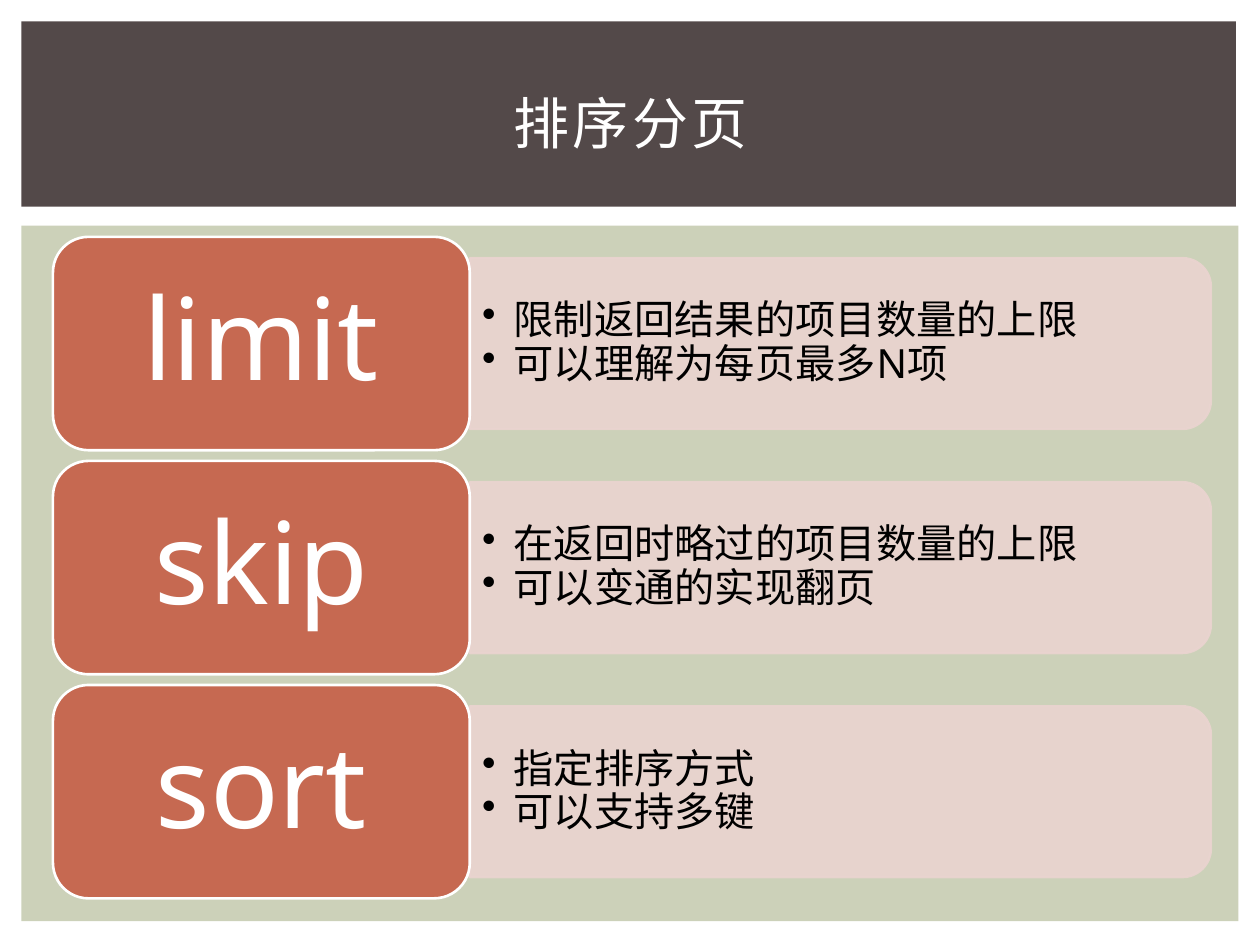
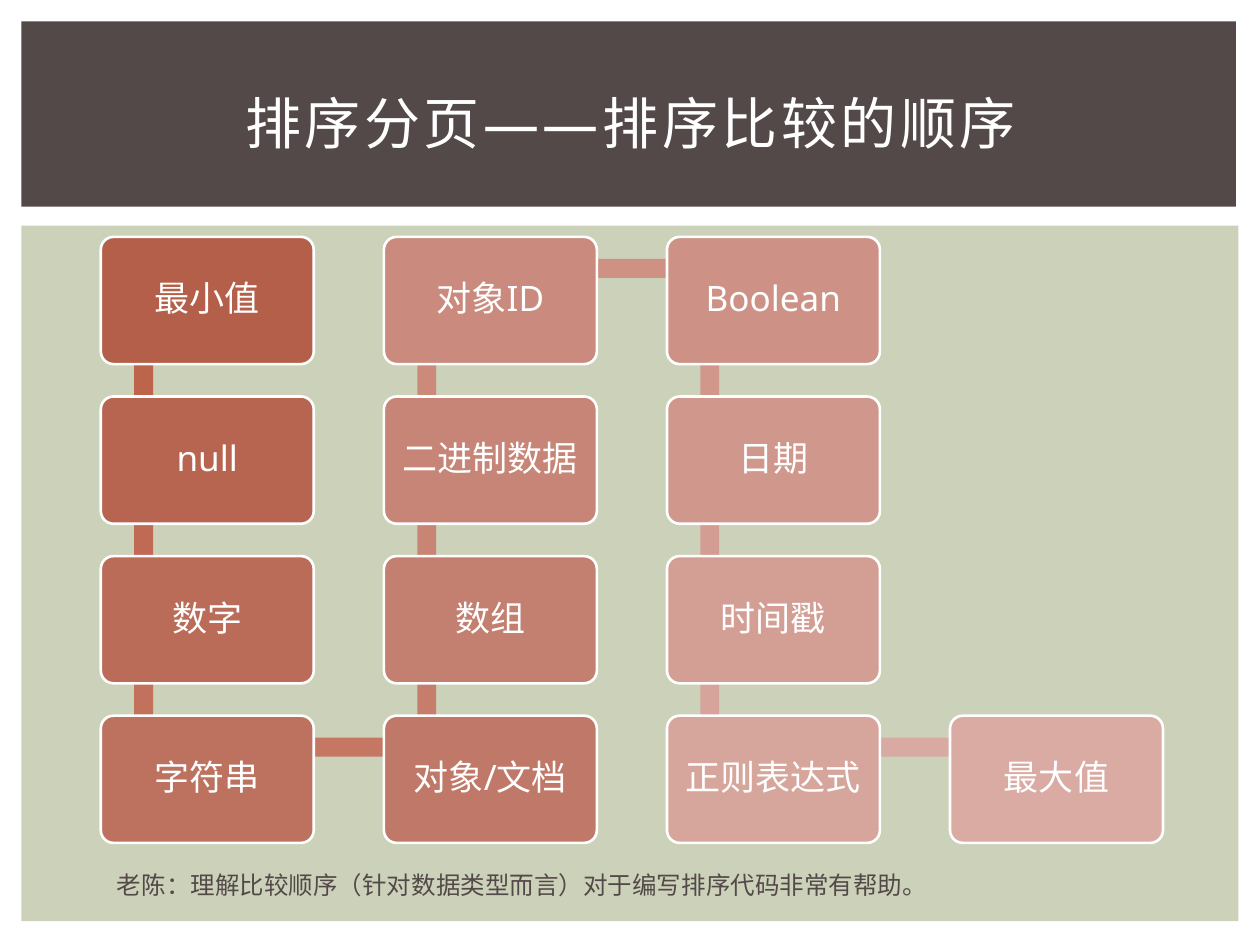
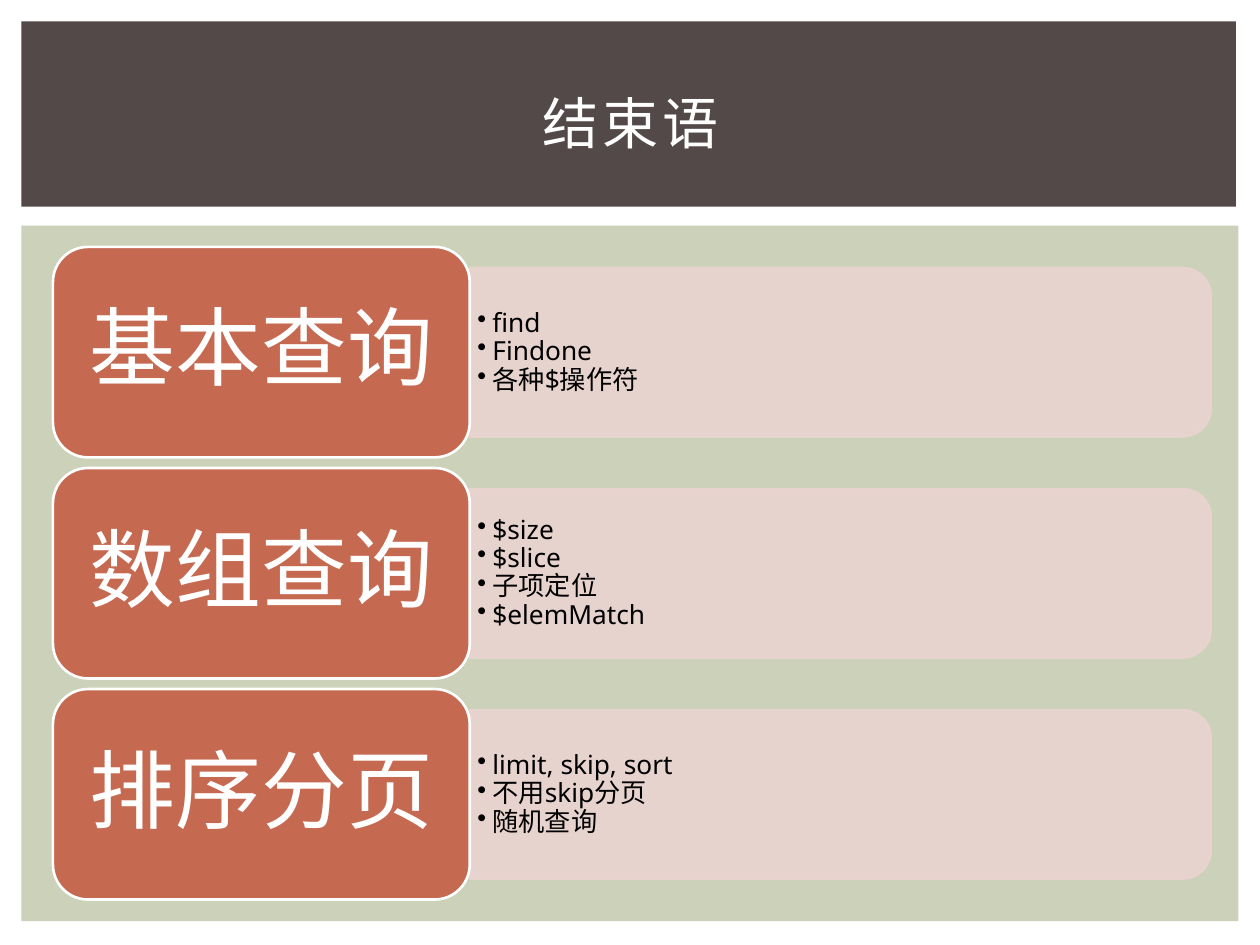
from pptx import Presentation
from pptx.dml.color import RGBColor
from pptx.enum.lang import MSO_LANGUAGE_ID as LANG
from pptx.enum.shapes import MSO_SHAPE as SHAPE
from pptx.enum.text import MSO_ANCHOR as ANCHOR, PP_ALIGN as ALIGN
from pptx.oxml.xmlchemy import OxmlElement
from pptx.util import Inches, Pt

FONT = "Noto Sans"
COLORS = {
    "white": "FFFFFF",
    "black": "000000",
    "title_band": "534949",
    "body_band": "CCD1B9",
    "label": "C66951",
    "panel": "EAD4D0",
    "node_first": "B45F4A",
    "node_last": "D9ABA3",
    "link_first": "BD644D",
    "link_last": "D9AAA2",
}


def rgb(name):
    return RGBColor.from_string(COLORS.get(name, name))


def blend(first, last, share):
    """Hex colour that lies the given share of the way from first to last."""
    pairs = zip(rgb(first), rgb(last))
    return "".join(f"{round(a + (b - a) * share):02X}" for a, b in pairs)


def set_alpha(fill_parent, percent):
    for color in fill_parent.iter("{*}srgbClr"):
        alpha = OxmlElement("a:alpha")
        alpha.set("val", str(percent * 1000))
        color.append(alpha)


def add_bullet(p, indent):
    pPr = p._p.get_or_add_pPr()
    pPr.set("marL", str(Inches(indent)))
    pPr.set("indent", str(-Inches(indent)))
    bullet = OxmlElement("a:buChar")
    bullet.set("char", "•")
    pPr.append(bullet)


def write(shape, text, size=20, color="white", align=ALIGN.LEFT, anchor=ANCHOR.MIDDLE,
          inset=(0.1, 0.05), line=None, bullet=None, tracking=None, wrap=True):
    """Fill a shape with formatted text, one paragraph per line."""
    tf = shape.text_frame
    tf.word_wrap, tf.vertical_anchor = wrap, anchor
    tf.margin_left = tf.margin_right = Inches(inset[0])
    tf.margin_top = tf.margin_bottom = Inches(inset[1])
    for i, words in enumerate(text.split("\n")):
        p = tf.add_paragraph() if i else tf.paragraphs[0]
        p.alignment, p.line_spacing = align, line
        if bullet:
            add_bullet(p, bullet)
        r = p.add_run()
        r.text = words
        r.font.size, r.font.name = Pt(size), FONT
        r.font.color.rgb = rgb(color)
        r.font.language_id = LANG.SIMPLIFIED_CHINESE
        rPr = r.font._element
        if tracking:
            rPr.set("spc", str(tracking * 100))
        east_asian = OxmlElement("a:ea")
        east_asian.set("typeface", FONT)
        rPr.append(east_asian)


def add_box(slide, kind, x, y, w, h, fill, line=None):
    sp = slide.shapes.add_shape(kind, Inches(x), Inches(y), Inches(w), Inches(h))
    sp.shadow.inherit = False
    sp.fill.solid()
    sp.fill.fore_color.rgb = rgb(fill)
    if line:
        sp.line.color.rgb = rgb(line)
        sp.line.width = Pt(1.5)
    else:
        sp.line.fill.background()
    return sp


def set_up_layout(layout, slide):
    """Give the layout its two bands and its title position."""
    bands = [add_box(slide, SHAPE.RECTANGLE, 0.17, 1.79, 9.66, 5.52, "body_band"),
             add_box(slide, SHAPE.RECTANGLE, 0.17, 0.17, 9.64, 1.47, "title_band")]
    for position, band in enumerate(bands, start=2):
        layout.shapes.element.insert(position, band._element)
    title = layout.placeholders[0]
    title.left, title.top = Inches(0.42), Inches(0.39)
    title.width, title.height = Inches(9.17), Inches(1.15)


def add_title(slide, text):
    write(slide.shapes.title, text, size=32, align=ALIGN.CENTER, tracking=2)


def add_topic_row(slide, box, label, points, label_size, point_size, label_inset,
                  point_inset, indent):
    """A label on the left, with a panel of bullet points beside it."""
    x, y, w, h = box
    label_w, panel_h = 0.36 * w, 0.8 * h
    panel_w = w - label_w
    panel_x, middle = x + label_w, y + h / 2

    # Panel, turned so that its round corners face right
    panel = add_box(slide, SHAPE.ROUND_2_SAME_RECTANGLE,
                    panel_x + (panel_w - panel_h) / 2, middle - panel_w / 2,
                    panel_h, panel_w, "panel", "panel")
    panel.rotation = 90
    set_alpha(panel._element.spPr, 90)

    # Bullet points
    text_h = 0.9 * panel_h
    tb = slide.shapes.add_textbox(Inches(panel_x), Inches(middle - text_h / 2),
                                  Inches(panel_w - 0.06), Inches(text_h))
    write(tb, points, size=point_size, color="black", inset=point_inset,
          line=0.9, bullet=indent)

    # Label
    sp = add_box(slide, SHAPE.ROUNDED_RECTANGLE, x, y, label_w, h, "label", "white")
    write(sp, label, size=label_size, align=ALIGN.CENTER, inset=label_inset, line=0.9)


def add_topics(slide, box, topics, **style):
    x, y, w, h = box
    gap_share = 0.05
    row_h = h / (len(topics) + gap_share * (len(topics) - 1))
    for i, (label, points) in enumerate(topics):
        row_y = y + i * row_h * (1 + gap_share)
        add_topic_row(slide, (x, row_y, w, row_h), label, points, **style)


def add_snake(slide, box, names, rows=4, cols=4):
    """Nodes that run down one column and up the next, joined by links."""
    x, y, w, h = box
    node_w, node_h = 1.69, 1.01
    step_x = (w - node_w) / (cols - 1)
    step_y = (h - node_h) / (rows - 1)
    corners = []
    for i in range(len(names)):
        col, row = divmod(i, rows)
        if col % 2:
            row = rows - 1 - row
        corners.append((x + col * step_x, y + row * step_y))

    # Links
    thick, anchor_x, anchor_y = 0.15, 0.34, 0.25
    link_count = len(names) - 1
    for i, ((x1, y1), (x2, y2)) in enumerate(zip(corners, corners[1:])):
        across, down = abs(x2 - x1), abs(y2 - y1)
        add_box(slide, SHAPE.RECTANGLE,
                min(x1, x2) + anchor_x - (0 if across else thick / 2),
                min(y1, y2) + anchor_y - (0 if down else thick / 2),
                across or thick, down or thick,
                blend("link_first", "link_last", i / (link_count - 1)))

    # Nodes
    for i, (name, (left, top)) in enumerate(zip(names, corners)):
        fill = blend("node_first", "node_last", i / link_count)
        node = add_box(slide, SHAPE.ROUNDED_RECTANGLE, left, top, node_w, node_h,
                       fill, "white")
        node.adjustments[0] = 0.1
        write(node, name, align=ALIGN.CENTER, inset=(0.08, 0.08), line=0.9)


def add_remark(slide, box, text):
    tb = slide.shapes.add_textbox(*map(Inches, box))
    write(tb, text, size=14, color="title_band", anchor=ANCHOR.TOP, wrap=False)


def main():
    prs = Presentation()
    prs.slide_width, prs.slide_height = Inches(10), Inches(7.5)
    layout = prs.slide_layouts[5]
    paging, order, closing = [prs.slides.add_slide(layout) for _ in range(3)]
    set_up_layout(layout, paging)

    # Sorting and paging
    add_title(paging, "排序分页")
    add_topics(paging, (0.42, 1.88, 9.19, 5.25), [
        ("limit", "限制返回结果的项目数量的上限\n可以理解为每页最多N项"),
        ("skip", "在返回时略过的项目数量的上限\n可以变通的实现翻页"),
        ("sort", "指定排序方式\n可以支持多键"),
    ], label_size=65, point_size=23, label_inset=(0.27, 0.14),
        point_inset=(0.1, 0.05), indent=0.25)

    # Order of comparison
    add_title(order, "排序分页——排序比较的顺序")
    add_snake(order, (0.8, 1.88, 8.43, 4.81), [
        "最小值", "null", "数字", "字符串", "对象/文档", "数组", "二进制数据",
        "对象ID", "Boolean", "日期", "时间戳", "正则表达式", "最大值"])
    add_remark(order, (0.83, 6.86, 6.68, 0.34),
               "老陈：理解比较顺序（针对数据类型而言）对于编写排序代码非常有帮助。")

    # Closing words
    add_title(closing, "结束语")
    add_topics(closing, (0.42, 1.96, 9.19, 5.18), [
        ("基本查询", "find\nFindone\n各种$操作符"),
        ("数组查询", "$size\n$slice\n子项定位\n$elemMatch"),
        ("排序分页", "limit, skip, sort\n不用skip分页\n随机查询"),
    ], label_size=49, point_size=15, label_inset=(0.2, 0.1),
        point_inset=(0.06, 0.03), indent=0.12)

    prs.save("out.pptx")


if __name__ == "__main__":
    main()
